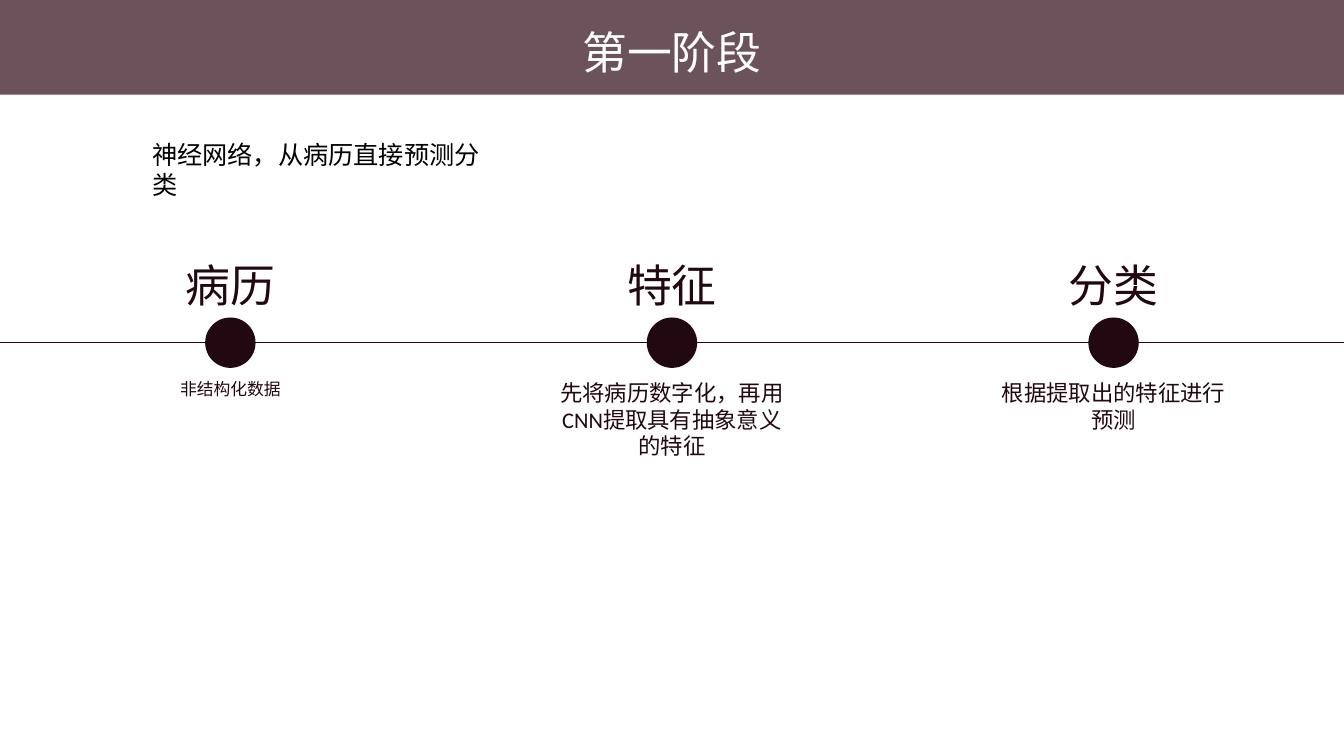
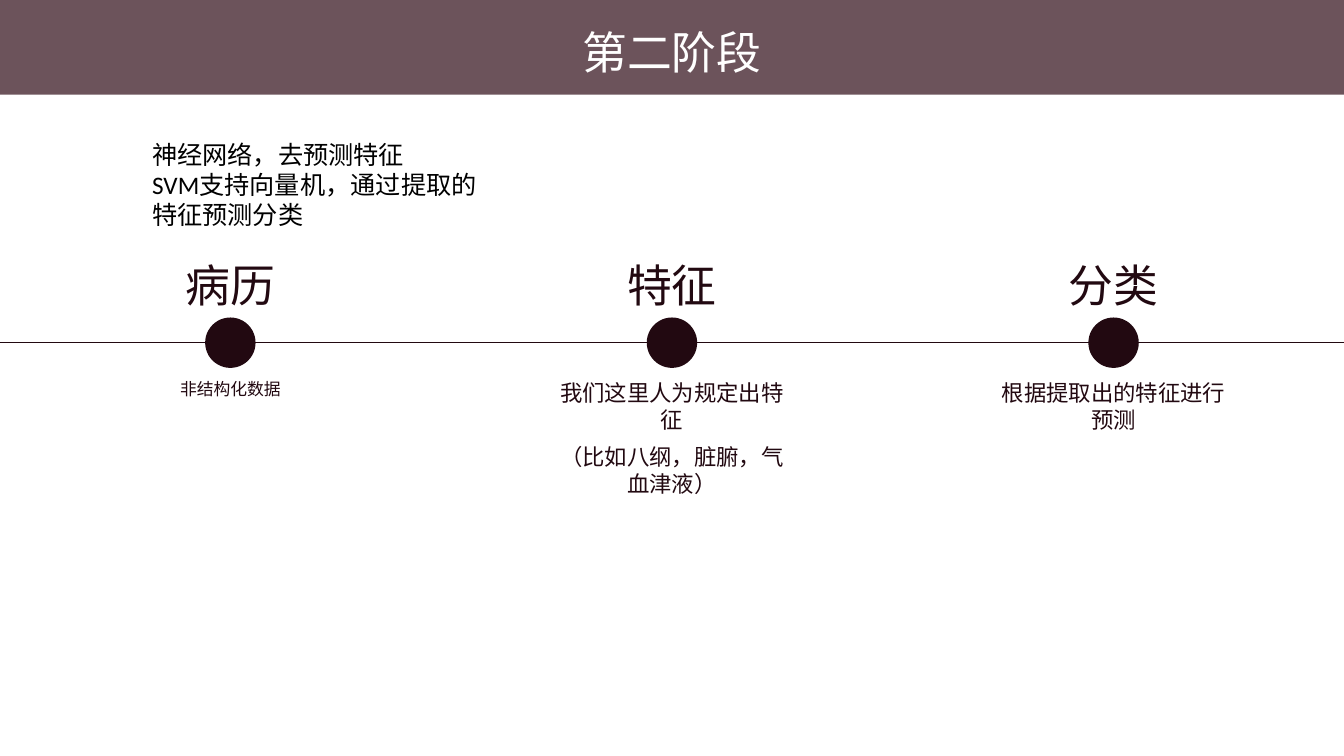
from lxml import etree
from pptx import Presentation
from pptx.dml.color import RGBColor
from pptx.enum.shapes import MSO_CONNECTOR as Connector, MSO_SHAPE as Shape
from pptx.enum.text import MSO_ANCHOR as Anchor, MSO_AUTO_SIZE as AutoSize, PP_ALIGN as Align
from pptx.oxml.ns import qn
from pptx.util import Inches, Pt

BAND = RGBColor(0x6C, 0x53, 0x5B)
DARK = RGBColor(0x22, 0x09, 0x11)
WHITE = RGBColor(0xFF, 0xFF, 0xFF)
BLACK = RGBColor(0x00, 0x00, 0x00)

FONT = "Calibri"
TITLE_ONLY = 5
WIDTH, HEIGHT = 13.33, 7.5
BAND_HEIGHT = 0.94
AXIS_Y = 3.4
STEP_GAP = 4.38
DOT = 0.5
NOTE_TOP, NOTE_HEIGHT = 3.71, 0.64

# Each step: heading, note size, notes
RECORDS = ("病历", 12, ["非结构化数据"])
CLASSES = ("分类", 16, ["根据提取出的特征进行预测"])
STAGES = [
    ("第一阶段",
     ["神经网络，从病历直接预测分类"],
     [RECORDS, ("特征", 16, ["先将病历数字化，再用CNN提取具有抽象意义的特征"]), CLASSES]),
    ("第二阶段",
     ["神经网络，去预测特征", "SVM支持向量机，通过提取的特征预测分类"],
     [RECORDS, ("特征", 16, ["我们这里人为规定出特征", "（比如八纲，脏腑，气血津液）"]), CLASSES]),
]


class StageDeck:
    """Holds the shared style and the slide being built."""

    def __init__(self):
        self.deck = Presentation()
        self.deck.slide_width, self.deck.slide_height = Inches(WIDTH), Inches(HEIGHT)
        self.layout = self.deck.slide_layouts[TITLE_ONLY]
        # The band is the layout background left free above the white panel
        backdrop = self.layout.background.fill
        backdrop.solid()
        backdrop.fore_color.rgb = BAND
        self.slide = None

    def start(self, title):
        self.slide = self.deck.slides.add_slide(self.layout)
        self.shape(Shape.RECTANGLE, 0, BAND_HEIGHT, WIDTH, HEIGHT - BAND_HEIGHT, WHITE)
        heading = self.slide.shapes.title
        box = {"left": 3.44, "top": 0.19, "width": 6.45, "height": 0.64}
        for side, length in box.items():
            setattr(heading, side, Inches(length))
        self.fill_text(heading.text_frame, [title], 32, WHITE, Align.CENTER)

    def shape(self, kind, left, top, width, height, color):
        item = self.slide.shapes.add_shape(
            kind, Inches(left), Inches(top), Inches(width), Inches(height))
        item.shadow.inherit = False
        item.fill.solid()
        item.fill.fore_color.rgb = color
        item.line.fill.background()

    def axis(self):
        axis = self.slide.shapes.add_connector(
            Connector.STRAIGHT, 0, Inches(AXIS_Y), Inches(WIDTH), Inches(AXIS_Y))
        axis.line.color.rgb = DARK
        axis.line.width = Pt(0.5)
        etree.SubElement(axis._element.spPr, qn("a:effectLst"))

    def text(self, left, top, width, height, lines, size, color=DARK, align=Align.CENTER):
        box = self.slide.shapes.add_textbox(
            Inches(left), Inches(top), Inches(width), Inches(height))
        self.fill_text(box.text_frame, lines, size, color, align)

    def fill_text(self, frame, lines, size, color, align):
        frame_format = {"word_wrap": True, "auto_size": AutoSize.SHAPE_TO_FIT_TEXT,
                        "vertical_anchor": Anchor.TOP}
        for name, value in frame_format.items():
            setattr(frame, name, value)
        frame.text = "\n".join(lines)
        for paragraph in frame.paragraphs:
            paragraph.alignment = align
            font = paragraph.runs[0].font
            for name, value in {"name": FONT, "size": Pt(size)}.items():
                setattr(font, name, value)
            font.color.rgb = color

    def step(self, center, heading, note_size, notes):
        self.shape(Shape.OVAL, center - DOT / 2, AXIS_Y - DOT / 2, DOT, DOT, DARK)
        self.text(center - 0.59, 2.51, 1.18, 0.64, [heading], 32)
        for row, note in enumerate(notes):
            self.text(center - 1.26, NOTE_TOP + row * NOTE_HEIGHT, 2.52, NOTE_HEIGHT,
                      [note], note_size)


def main():
    stages = StageDeck()
    for title, summary, steps in STAGES:
        stages.start(title)
        # Timeline
        stages.axis()
        for index, step in enumerate(steps):
            stages.step(WIDTH / 2 + (index - 1) * STEP_GAP, *step)
        # Method summary
        stages.text(1.41, 1.33, 3.55, 0.71, summary, 18, BLACK, Align.LEFT)
    stages.deck.save("out.pptx")


if __name__ == "__main__":
    main()
